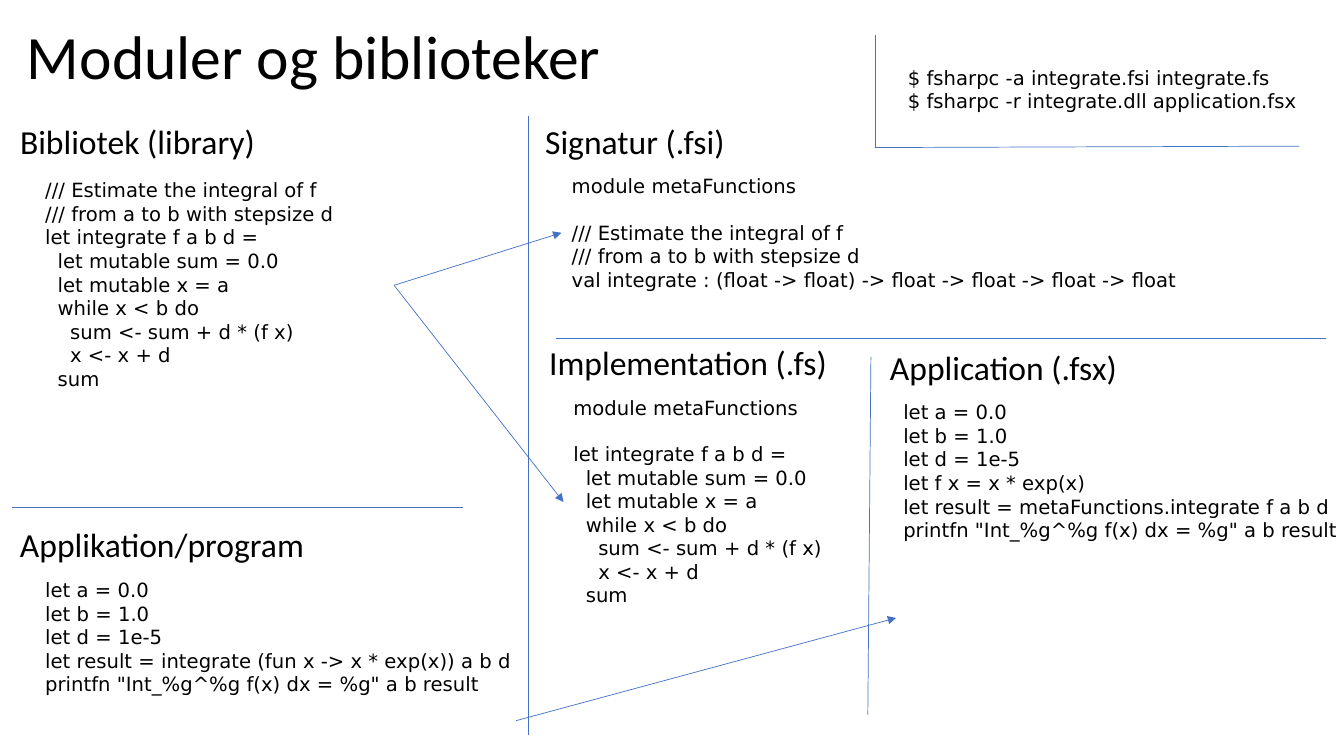
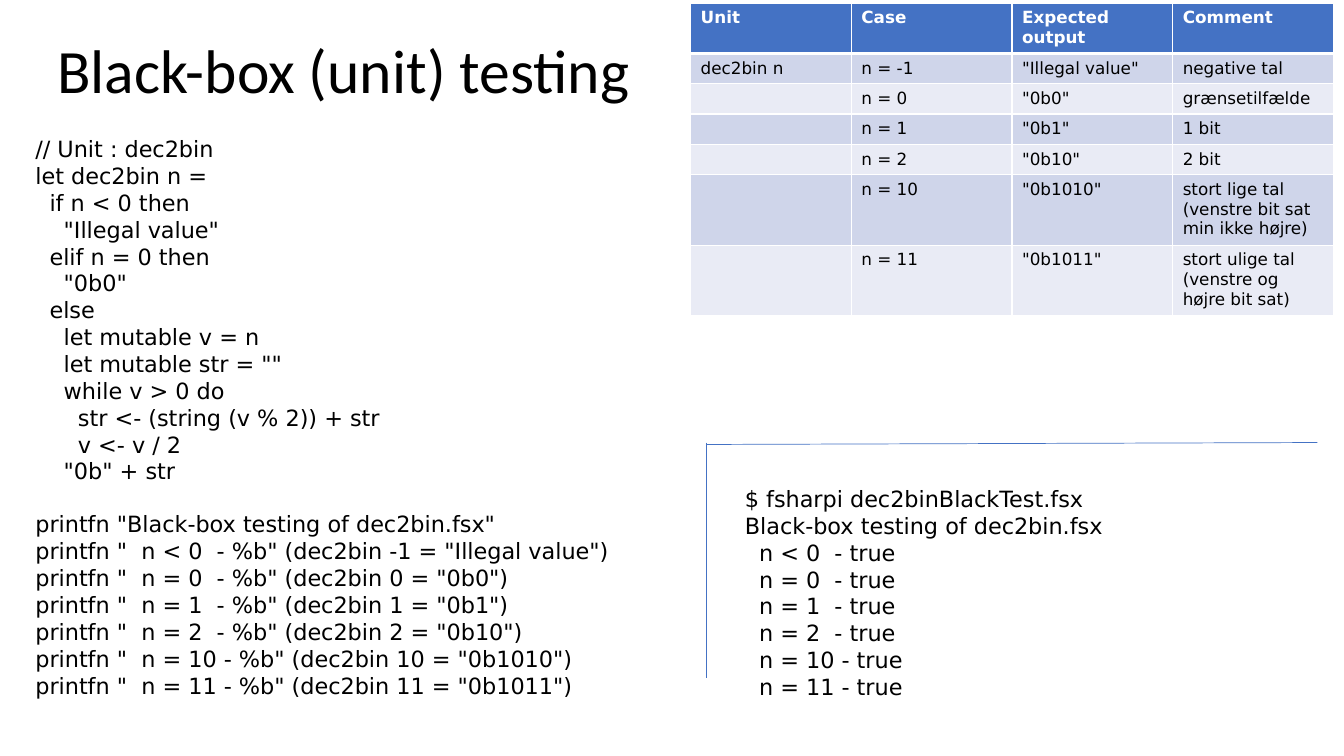
from lxml import etree
from pptx import Presentation
from pptx.dml.color import RGBColor
from pptx.enum import shapes, text
from pptx.oxml.ns import qn
from pptx.util import Pt

COLORS = {"text": "000000", "accent": "4472C4", "white": "FFFFFF",
          "band_dark": "CFD5EA", "band_light": "E9EBF5"}
HEADING_FONT, CODE_FONT = "Calibri", "DejaVu Sans"
LINE_HEIGHT = 1.164  # height of a code line relative to its font size

# Code shared by the library and the implementation file
COMMENT = """/// Estimate the integral of f
/// from a to b with stepsize d
"""
INTEGRATE = """let integrate f a b d =
  let mutable sum = 0.0
  let mutable x = a
  while x < b do
    sum <- sum + d * (f x)
    x <- x + d
  sum"""
VALUES = """let a = 0.0
let b = 1.0
let d = 1e-5
"""
PRINT_RESULT = 'printfn "Int_%g^%g f(x) dx = %g" a b result'

# Titles: text, left, top, width
MODULES_TITLE = ("Moduler og biblioteker", 12.2, -9.4, 454)
TESTING_TITLE = ("Black-box (unit) testing", 33.8, 0, 828)

# Headings: text, left, top, width
HEADINGS = [
    ("Bibliotek (library)", 7.2, 82.8, 306),
    ("Applikation/program", 7.2, 370.4, 280),
    ("Signatur (.fsi)", 382.3, 82.8, 155),
    ("Implementation (.fs)", 385.2, 240.8, 227),
    ("Application (.fsx)", 628.6, 244.6, 227),
]

# Code blocks: text, left, top, width
MODULES_CODE = [
    (COMMENT + INTEGRATE, 25.2, 123.8, 256),
    (VALUES + "let result = integrate (fun x -> x * exp(x)) a b d\n"
     + PRINT_RESULT, 25.2, 409.3, 409),
    ("module metaFunctions\n\n" + COMMENT
     + "val integrate : (float -> float) -> float -> float -> float -> float",
     401.3, 121, 567),
    ("module metaFunctions\n\n" + INTEGRATE, 402.5, 279, 274),
    (VALUES + "let f x = x * exp(x)\n"
     "let result = metaFunctions.integrate f a b d\n" + PRINT_RESULT,
     638.1, 282.4, 387),
    ("$ fsharpc -a integrate.fsi integrate.fs\n"
     "$ fsharpc -r integrate.dll application.fsx", 641.4, 43.4, 345),
]
TESTING_CODE = [
    ('''// Unit : dec2bin
let dec2bin n =
  if n < 0 then
    "Illegal value"
  elif n = 0 then
    "0b0"
  else
    let mutable v = n
    let mutable str = ""
    while v > 0 do
      str <- (string (v % 2)) + str
      v <- v / 2
    "0b" + str

printfn "Black-box testing of dec2bin.fsx"
printfn "  n < 0  - %b" (dec2bin -1 = "Illegal value")
printfn "  n = 0  - %b" (dec2bin 0 = "0b0")
printfn "  n = 1  - %b" (dec2bin 1 = "0b1")
printfn "  n = 2  - %b" (dec2bin 2 = "0b10")
printfn "  n = 10 - %b" (dec2bin 10 = "0b1010")
printfn "  n = 11 - %b" (dec2bin 11 = "0b1011")''', 18.2, 93, 474),
    ("""$ fsharpi dec2binBlackTest.fsx
Black-box testing of dec2bin.fsx
  n < 0  - true
  n = 0  - true
  n = 1  - true
  n = 2  - true
  n = 10 - true
  n = 11 - true""", 525, 343, 435),
]

# Lines: start x, start y, end x, end y
MODULES_LINES = [
    (377.3, 82.8, 377.3, 525),
    (397.4, 242, 946.8, 242),
    (619.9, 510.5, 622.1, 254.9),
    (8.6, 362.2, 330.5, 362.2),
    (625, 105.8, 625, 25.2),
    (625, 105.4, 928, 104.4),
]
MODULES_ARROWS = [
    (281.5, 203.8, 401, 166.3),
    (281.5, 203.8, 402.5, 358.6),
    (368.6, 514.8, 640.1, 441.4),
]
TESTING_LINES = [(504.7, 317.5, 941, 316.1), (504.7, 316.1, 504.7, 484.6)]

# Test table
TABLE_LEFT, TABLE_TOP, COLUMN_WIDTH = 493.3, 2.2, 114.8
ROW_HEIGHTS = [35.6, 21.6, 21.6, 21.6, 21.6, 50.4, 50.4]
TEST_CASES = [
    ("Unit", "Case", "Expected output", "Comment"),
    ("dec2bin n", "n = -1", '"Illegal value"', "negative tal"),
    ("", "n = 0", '"0b0"', "grænsetilfælde"),
    ("", "n = 1", '"0b1"', "1 bit"),
    ("", "n = 2", '"0b10"', "2 bit"),
    ("", "n = 10", '"0b1010"',
     "stort lige tal (venstre bit sat min ikke højre)"),
    ("", "n = 11", '"0b1011"', "stort ulige tal (venstre og højre bit sat)"),
]


def rgb(name):
    return RGBColor.from_string(COLORS[name])


def write(frame, content, *, size, font=CODE_FONT, color="text", bold=False,
          spacing=None):
    """Write one paragraph per line; an empty line becomes space before."""
    gap = 0
    paragraph = None
    for line in content.split("\n"):
        if not line and paragraph is not None:
            gap += size * LINE_HEIGHT
            continue
        paragraph = frame.add_paragraph() if paragraph else frame.paragraphs[0]
        if gap:
            paragraph.space_before = Pt(round(gap, 1))
            gap = 0
        if spacing:
            paragraph.line_spacing = spacing
        if not line:
            etree.SubElement(paragraph._p, qn("a:endParaRPr"),
                             sz=str(size * 100))
            continue
        run = paragraph.add_run()
        run.text = line
        run.font.name, run.font.size, run.font.bold = font, Pt(size), bold
        run.font.color.rgb = rgb(color)


def add_text(slide, content, left, top, width, *, height=None,
             anchor=text.MSO_ANCHOR.TOP, size=14, **style):
    if height is None:
        height = round((content.count("\n") + 1) * size * LINE_HEIGHT + 7.2, 1)
    box = slide.shapes.add_textbox(Pt(left), Pt(top), Pt(width), Pt(height))
    frame = box.text_frame
    frame.word_wrap = True
    frame.vertical_anchor = anchor
    write(frame, content, size=size, **style)


def add_title(slide, title):
    add_text(slide, *title, height=104.4, anchor=text.MSO_ANCHOR.MIDDLE,
             size=44, font=HEADING_FONT, spacing=0.9)


def add_line(slide, ends, arrow=False):
    line = slide.shapes.add_connector(shapes.MSO_CONNECTOR.STRAIGHT,
                                      *(Pt(value) for value in ends))
    line.line.color.rgb = rgb("accent")
    line.line.width = Pt(0.5)
    if arrow:
        etree.SubElement(line.line._get_or_add_ln(), qn("a:tailEnd"),
                         type="triangle")
    etree.SubElement(line._element.spPr, qn("a:effectLst"))


def style_cell(cell, fill, widths):
    """Set white borders (left, right, top, bottom), then the fill."""
    properties = cell._tc.get_or_add_tcPr()
    for side, width in zip("LRTB", widths):
        border = etree.SubElement(properties, qn(f"a:ln{side}"),
                                  w=str(Pt(width)))
        solid = etree.SubElement(border, qn("a:solidFill"))
        etree.SubElement(solid, qn("a:srgbClr"), val=COLORS["white"])
    cell.fill.solid()
    cell.fill.fore_color.rgb = rgb(fill)


def add_test_table(slide):
    columns = len(TEST_CASES[0])
    table = slide.shapes.add_table(
        len(TEST_CASES), columns, Pt(TABLE_LEFT), Pt(TABLE_TOP),
        Pt(COLUMN_WIDTH * columns), Pt(sum(ROW_HEIGHTS))).table
    for column in table.columns:
        column.width = Pt(COLUMN_WIDTH)
    for row, values in enumerate(TEST_CASES):
        table.rows[row].height = Pt(ROW_HEIGHTS[row])
        header = row == 0
        band = "band_dark" if row % 2 else "band_light"
        widths = (1, 1, 3 if row == 1 else 1, 3 if header else 1)
        for column, value in enumerate(values):
            cell = table.cell(row, column)
            style_cell(cell, "accent" if header else band, widths)
            write(cell.text_frame, value, size=12, bold=header,
                  color="white" if header else "text")


def add_slide(presentation, title, code, code_size, lines, arrows=()):
    slide = presentation.slides.add_slide(presentation.slide_layouts[6])
    add_title(slide, title)
    for block in code:
        add_text(slide, *block, size=code_size)
    for ends in lines:
        add_line(slide, ends)
    for ends in arrows:
        add_line(slide, ends, arrow=True)
    return slide


def main():
    presentation = Presentation()
    presentation.slide_width, presentation.slide_height = Pt(960), Pt(540)

    # Modules and libraries
    modules = add_slide(presentation, MODULES_TITLE, MODULES_CODE, 14,
                        MODULES_LINES, MODULES_ARROWS)
    for heading in HEADINGS:
        add_text(modules, *heading, size=24, font=HEADING_FONT)

    # Black-box testing
    testing = add_slide(presentation, TESTING_TITLE, TESTING_CODE, 16,
                        TESTING_LINES)
    add_test_table(testing)

    presentation.save("out.pptx")


if __name__ == "__main__":
    main()
